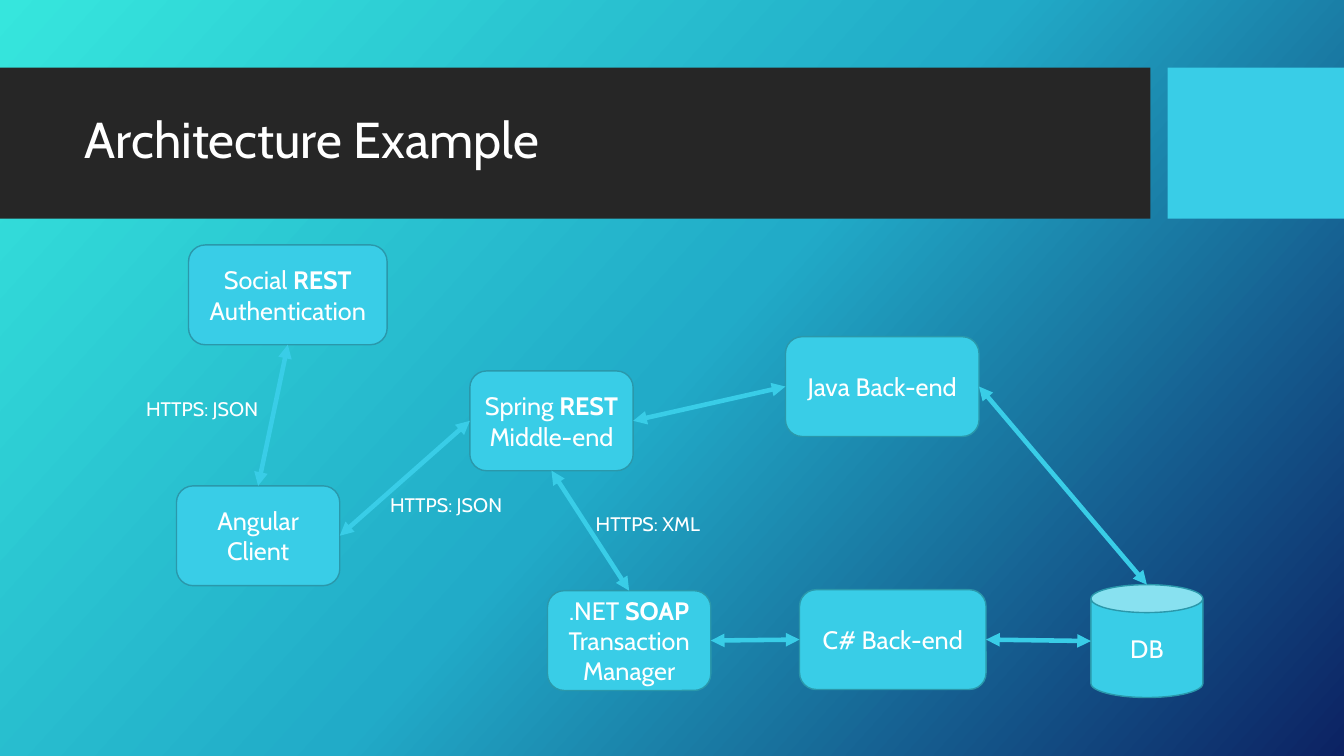
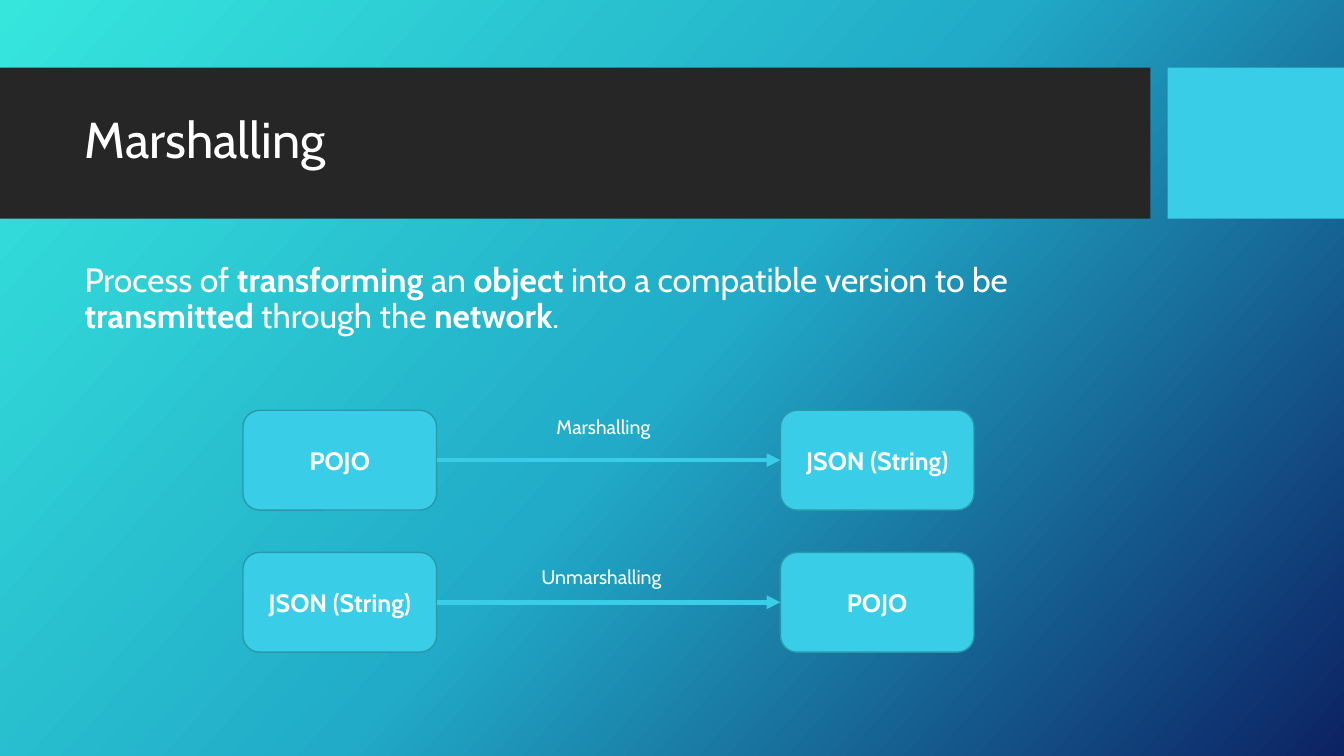
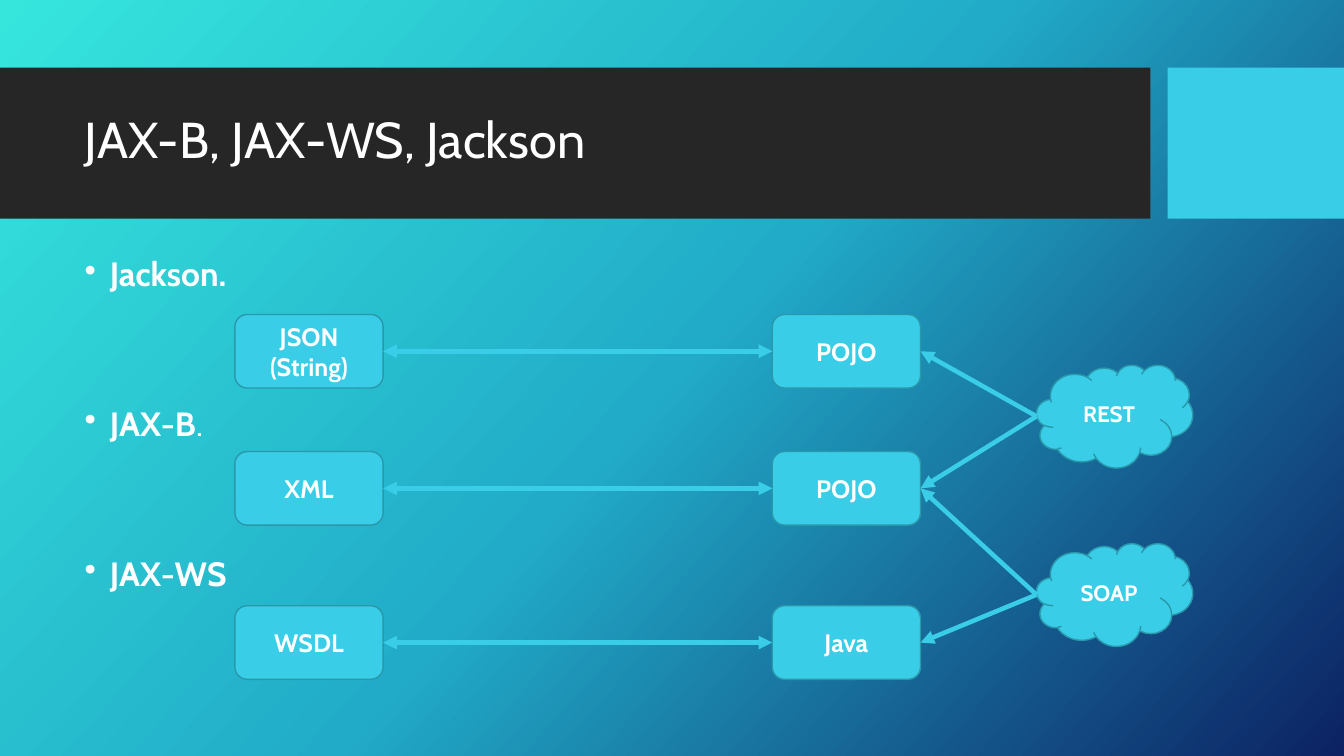
import pptx
import copy
import lxml.etree
import pptx.util
import pptx.dml.color
import pptx.enum.shapes
import pptx.enum.text
import pptx.oxml.ns

Inches = pptx.util.Inches
Pt = pptx.util.Pt
RGBColor = pptx.dml.color.RGBColor
Kind = pptx.enum.shapes.MSO_SHAPE
Align = pptx.enum.text.PP_ALIGN
Anchor = pptx.enum.text.MSO_ANCHOR
qn = pptx.oxml.ns.qn

WHITE = RGBColor(0xFF, 0xFF, 0xFF)
DARK = RGBColor(0x26, 0x26, 0x26)
CYAN = RGBColor(0x39, 0xCD, 0xE7)
EDGE = RGBColor(0x2A, 0x98, 0xAB)
STOPS = [
    (0, RGBColor(0x36, 0xE6, 0xDD)),
    (0.5, RGBColor(0x21, 0xAB, 0xC8)),
    (1, RGBColor(0x0C, 0x22, 0x63)),
]
FONT = "Cabin"


class Deck:
    def __init__(self):
        self.prs = pptx.Presentation()
        self.prs.slide_width = Inches(13.33)
        self.prs.slide_height = Inches(7.5)
        self.slide = None

    def page(self, title):
        """Start a slide with its background, bands and title."""
        self.slide = self.prs.slides.add_slide(self.prs.slide_layouts[6])
        fill = self.slide.background.fill
        fill.gradient()
        fill.gradient_angle = 360 - 42
        first = next(self.slide.element.iter(qn("a:gs")))
        first.addnext(copy.deepcopy(first))
        for stop, (place, color) in zip(fill.gradient_stops, STOPS):
            stop.position = place
            stop.color.rgb = color
        self.shape(Kind.RECTANGLE, 0, 0.67, 11.41, 1.5, DARK)
        self.shape(Kind.RECTANGLE, 11.58, 0.67, 1.75, 1.5, CYAN)
        self.text([title], 0.74, 0.82, 10.51, 1.18, 36, Anchor.MIDDLE, 0.9)

    def shape(self, kind, x, y, w, h, color):
        item = self.slide.shapes.add_shape(
            kind, Inches(x), Inches(y), Inches(w), Inches(h))
        item.shadow.inherit = False
        item.fill.solid()
        item.fill.fore_color.rgb = color
        item.line.fill.background()
        return item

    def words(self, para, words, size):
        """Fill a paragraph; words between asterisks are bold."""
        for n, part in enumerate(words.split("*")):
            if part:
                run = para.add_run()
                run.text = part
                if n % 2:
                    run.font.bold = True
        para.font.name = FONT
        para.font.size = Pt(size)
        para.font.color.rgb = WHITE

    def node(self, words, x, y, w=1.92, h=0.99, kind=Kind.ROUNDED_RECTANGLE,
             size=18):
        item = self.shape(kind, x, y, w, h, CYAN)
        item.line.color.rgb = EDGE
        item.line.width = Pt(1)
        frame = item.text_frame
        frame.word_wrap = True
        frame.vertical_anchor = Anchor.MIDDLE
        para = frame.paragraphs[0]
        para.alignment = Align.CENTER
        self.words(para, words, size)
        return item

    def text(self, lines, x, y, w, h, size, anchor=Anchor.TOP, pitch=None,
             gap=0, bullet=False):
        box = self.slide.shapes.add_textbox(
            Inches(x), Inches(y), Inches(w), Inches(h))
        frame = box.text_frame
        frame.word_wrap = True
        frame.vertical_anchor = anchor
        for n, words in enumerate(lines):
            para = frame.add_paragraph() if n else frame.paragraphs[0]
            if bullet:
                props = para._p.get_or_add_pPr()
                props.set("marL", str(Inches(0.25)))
                props.set("indent", str(-Inches(0.25)))
                lxml.etree.SubElement(props, qn("a:buChar")).set("char", "•")
            if pitch:
                para.line_spacing = pitch
            if n and gap:
                para.space_before = Pt(gap)
            self.words(para, words, size)

    def label(self, words, x, y):
        self.text([words], x, y, 1.92, 0.34, 14)

    def point(self, item, side):
        """Middle of one side of a shape."""
        fx, fy = {"left": (0, 0.5), "right": (1, 0.5),
                  "top": (0.5, 0), "bottom": (0.5, 1)}[side]
        return (int(item.left + fx * item.width),
                int(item.top + fy * item.height))

    def link(self, start, out, end, into, both=True):
        line = self.slide.shapes.add_connector(
            pptx.enum.shapes.MSO_CONNECTOR.STRAIGHT,
            *self.point(start, out), *self.point(end, into))
        line.line.color.rgb = CYAN
        line.line.width = Pt(3.25)
        props = line._element.spPr
        stroke = props.find(qn("a:ln"))
        for tip in ("a:headEnd", "a:tailEnd") if both else ("a:tailEnd",):
            lxml.etree.SubElement(stroke, qn(tip)).set("type", "triangle")
        lxml.etree.SubElement(props, qn("a:effectLst"))


def design(deck):
    deck.page("Architecture Example")
    # Parts of the system
    client = deck.node("Angular Client", 1.75, 4.82, 1.62)
    middle = deck.node("Spring *REST* Middle-end", 4.66, 3.68, 1.62)
    login = deck.node("Social *REST* Authentication", 1.87, 2.43, 1.97)
    soap = deck.node(".NET *SOAP* Transaction Manager", 5.43, 5.86, 1.62)
    java = deck.node("Java Back-end", 7.79, 3.34)
    sharp = deck.node("C# Back-end", 7.93, 5.85, 1.85)
    base = deck.node("DB", 10.82, 5.8, 1.11, 1.12, Kind.CAN)
    # Links between them
    for ends in [
        (client, "top", login, "bottom"),
        (client, "right", middle, "left"),
        (middle, "right", java, "left"),
        (soap, "top", middle, "bottom"),
        (java, "right", base, "top"),
        (soap, "right", sharp, "left"),
        (sharp, "right", base, "left"),
    ]:
        deck.link(*ends)
    deck.label("HTTPS: JSON", 1.35, 3.89)
    deck.label("HTTPS: JSON", 3.77, 4.84)
    deck.label("HTTPS: XML", 5.81, 5.03)


def marshal(deck):
    deck.page("Marshalling")
    deck.text(["Process of *transforming* an *object* into a compatible "
               "version to be *transmitted* through the *network*."],
              0.74, 2.56, 10.95, 3.94, 24, pitch=0.9)
    # One row for each direction
    for y, source, target, name, x, top in [
        (4.07, "*POJO*", "*JSON (String)*", "Marshalling", 5.42, 4.07),
        (5.48, "*JSON (String)*", "*POJO*", "Unmarshalling", 5.27, 5.56),
    ]:
        deck.link(deck.node(source, 2.41, y), "right",
                  deck.node(target, 7.74, y), "left", both=False)
        deck.label(name, x, top)


def tools(deck):
    deck.page("JAX-B, JAX-WS, Jackson")
    deck.text(["*Jackson.*", "*JAX-B*.", "*JAX-WS*"], 0.74, 2.51, 10.95, 3.94,
              24, pitch=0.9, gap=81, bullet=True)
    # Format and object pairs
    goals = []
    for y, source, target in [
        (3.12, "*JSON (String)*", "*POJO*"),
        (4.48, "*XML*", "*POJO*"),
        (6.01, "*WSDL*", "*Java*"),
    ]:
        left = deck.node(source, 2.33, y, 1.47, 0.73)
        right = deck.node(target, 7.66, y, 1.47, 0.73)
        deck.link(left, "right", right, "left")
        goals.append(right)
    # Services that use two pairs each
    for n, (name, y) in enumerate([("*REST*", 3.62), ("*SOAP*", 5.39)]):
        cloud = deck.node(name, 10.28, y, 1.55, 1.02, Kind.CLOUD, 16)
        for goal in goals[n:n + 2]:
            deck.link(cloud, "left", goal, "right", both=False)


def main():
    deck = Deck()
    design(deck)
    marshal(deck)
    tools(deck)
    deck.prs.save("out.pptx")


if __name__ == "__main__":
    main()
